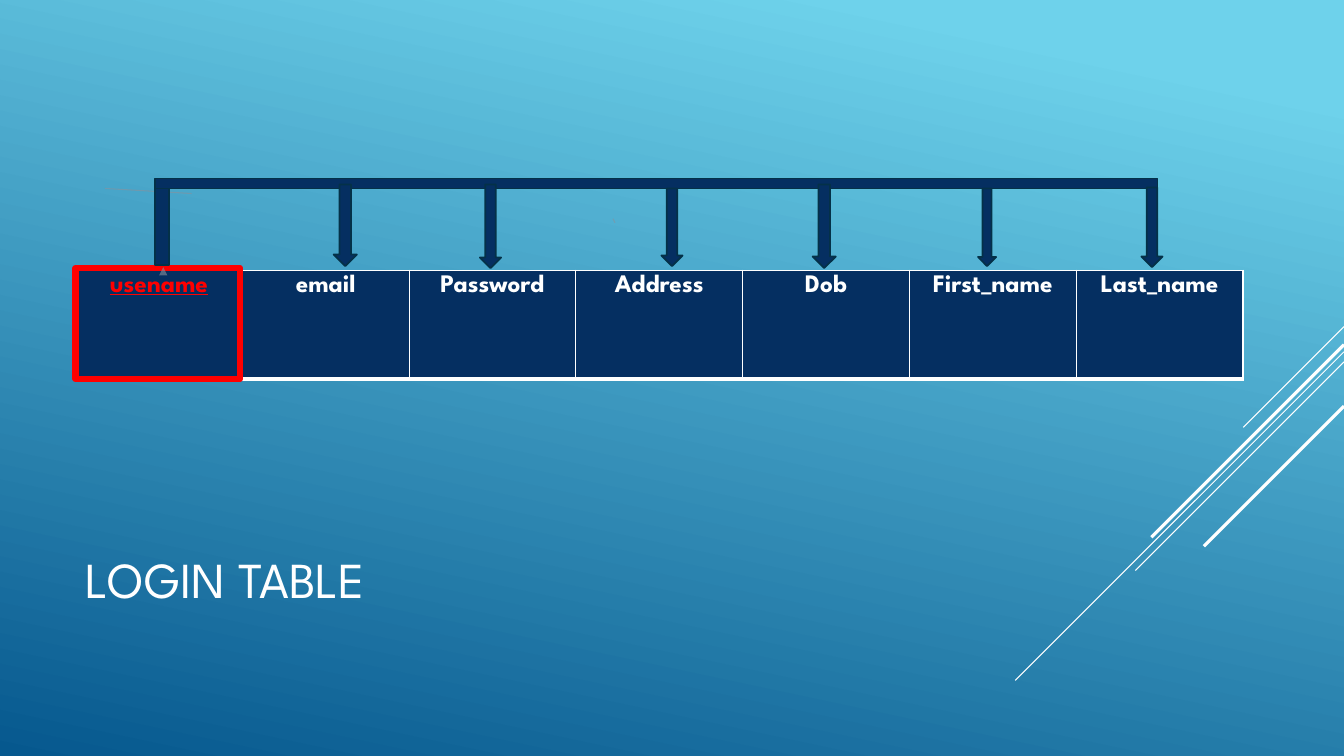
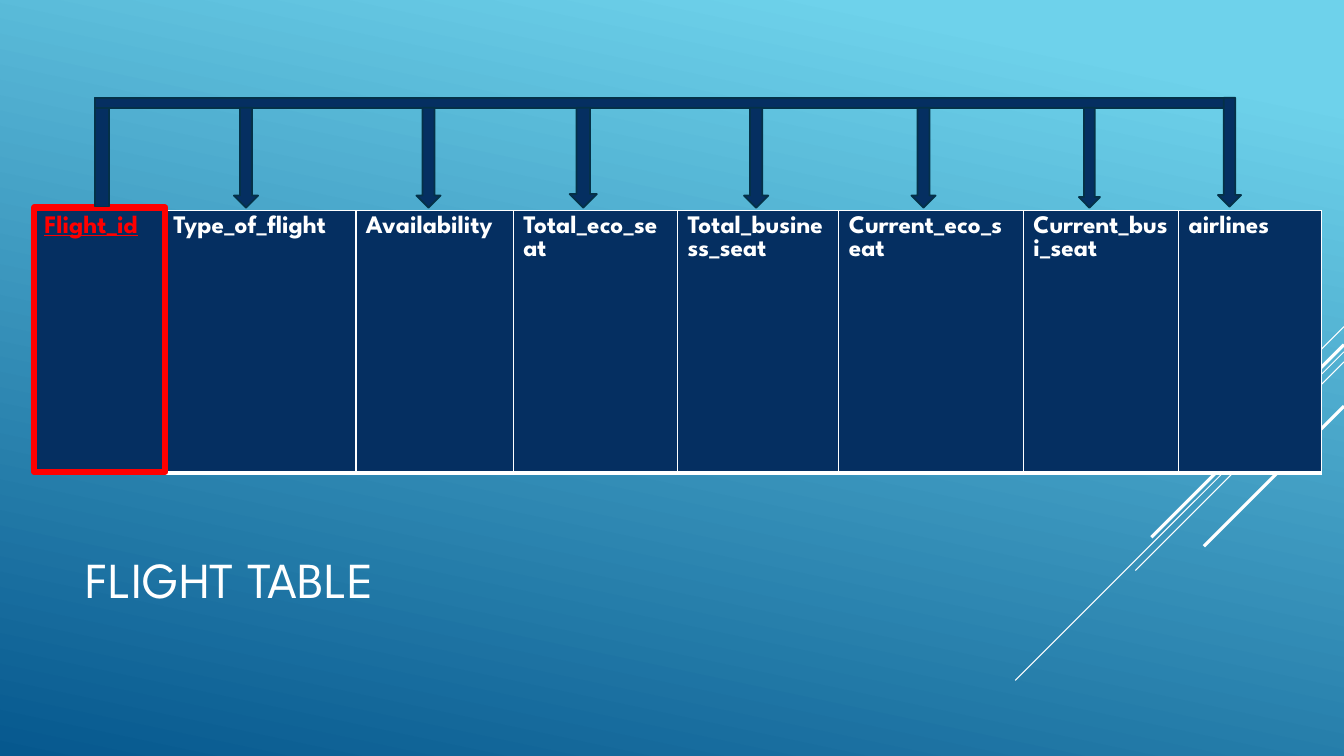
import pptx
import pptx.util
import pptx.dml.color
import pptx.enum.shapes
import pptx.enum.text
import pptx.oxml.ns
from lxml import etree

Inches, Pt = pptx.util.Inches, pptx.util.Pt
SHAPE = pptx.enum.shapes.MSO_SHAPE
ALIGN = pptx.enum.text.PP_ALIGN

COLORS = {
    "sky": "6ED2EB", "deep": "06588E", "navy": "052F61", "edge": "043148",
    "key": "FF0000", "white": "FFFFFF", "stroke": "89919C",
}
FONT = "League Spartan"
SLIDE_W, SLIDE_H = 13.33, 7.5
BAR_H = STEM_W = 0.14
BAR_H = 0.1

# Diagonals: start height on the right edge, horizontal run, line width
DIAGONALS = [(3.24, 1, 0.75), (3.49, 3.26, 0.75), (3.59, 2.07, 0.75),
             (3.42, 1.91, 2.25), (4.03, 1.39, 2.25)]

# Arrows are (left, top, width, height) measured from the bar's corner
LOGIN = {
    "title": "LOGIN TABLE",
    "fields": ["usename", "email", "Password", "Address", "Dob",
               "First_name", "Last_name"],
    "align": ALIGN.CENTER,
    "table": (0.75, 2.68, 1.08),
    "columns": [11.58 / 7] * 7,
    "key": (0.75, 2.66, 1.63, 1.1),
    "bar": (1.54, 1.77, 9.94),
    "stem": (0.09, 0.77),
    "arrows": [(1.77, 0.06, 0.23, 0.81), (3.22, 0.06, 0.21, 0.83),
               (5.02, 0.1, 0.21, 0.77), (6.52, 0.06, 0.23, 0.83),
               (8.16, 0.1, 0.18, 0.77), (9.78, 0.09, 0.21, 0.79)],
}
FLIGHT = {
    "title": "FLIGHT TABLE",
    "fields": ["Flight_id", "Type_of_flight", "Availability", "Total_eco_seat",
               "Total_business_seat", "Current_eco_seat", "Current_busi_seat",
               "airlines"],
    "align": ALIGN.LEFT,
    "table": (0.34, 2.09, 2.6),
    "columns": [1.28, 1.91, 1.56, 1.63, 1.6, 1.83, 1.54, 1.42],
    "key": (0.34, 2.06, 1.3, 2.62),
    "bar": (0.94, 0.97, 11.24),
    "stem": (0, 1.08),
    "arrows": [(left, 0.1, width, 0.99) for left, width in
               [(1.38, 0.24), (3.19, 0.24), (4.71, 0.27), (6.44, 0.24),
                (8.1, 0.24), (9.76, 0.21)]] + [(11.14, 0, 0.23, 1.08)],
}


def rgb(name):
    return pptx.dml.color.RGBColor.from_string(COLORS[name])


def add_child(parent, tag, **attributes):
    return etree.SubElement(parent, pptx.oxml.ns.qn(tag), **attributes)


def style_text(paragraph, size, color, align=ALIGN.LEFT, bold=False, underline=False):
    paragraph.alignment = align
    font = paragraph.font
    font.name, font.size = FONT, Pt(size)
    font.bold, font.underline = bold, underline
    font.color.rgb = rgb(color)


def add_stroke(slide, start, end, color, width, opacity=None, arrow=False):
    stroke = slide.shapes.add_connector(
        pptx.enum.shapes.MSO_CONNECTOR.STRAIGHT,
        *(Inches(value) for value in (*start, *end)))
    stroke.line.color.rgb = rgb(color)
    stroke.line.width = Pt(width)
    properties = stroke.element.spPr
    if opacity:
        tint = properties.find(".//" + pptx.oxml.ns.qn("a:srgbClr"))
        add_child(tint, "a:alpha", val=str(opacity * 1000))
    if arrow:
        add_child(properties.find(pptx.oxml.ns.qn("a:ln")), "a:tailEnd", type="triangle")
    add_child(properties, "a:effectLst")
    return stroke


def add_block(slide, kind, box, fill="navy", line="edge", width=1.25):
    block = slide.shapes.add_shape(kind, *(Inches(value) for value in box))
    block.shadow.inherit = False
    if fill:
        block.fill.solid()
        block.fill.fore_color.rgb = rgb(fill)
    else:
        block.fill.background()
    block.line.color.rgb = rgb(line)
    block.line.width = Pt(width)


# Shared look: gradient and title position
def style_layout(prs, layout):
    fill = prs.slide_master.background.fill
    fill.gradient()
    fill.gradient_angle = 360 - 102
    for stop, position, color in zip(fill.gradient_stops, (0.1, 1), ("sky", "deep")):
        stop.position = position
        stop.color.rgb = rgb(color)
    title = layout.placeholders[0]
    title.left, title.top = Inches(0.75), Inches(4.91)
    title.width, title.height = Inches(9.33), Inches(1.65)


def add_diagonals(slide):
    for top, run, width in DIAGONALS:
        add_stroke(slide, (SLIDE_W, top), (SLIDE_W - run, top + run), "white", width)


def add_title(slide, text):
    frame = slide.shapes.title.text_frame
    frame.text = text
    frame.vertical_anchor = pptx.enum.text.MSO_ANCHOR.MIDDLE
    style_text(frame.paragraphs[0], 36, "white")


# Row of fields, the first one being the key
def add_borders(cell):
    properties = cell._tc.get_or_add_tcPr()
    for index, (side, width) in enumerate([("L", 1), ("R", 1), ("T", 1), ("B", 3)]):
        border = add_child(properties, "a:ln" + side, w=str(Pt(width)))
        add_child(add_child(border, "a:solidFill"), "a:srgbClr", val=COLORS["white"])
        properties.insert(index, border)


def add_fields(slide, left, top, height, columns, fields, align):
    table = slide.shapes.add_table(
        1, len(fields), Inches(left), Inches(top),
        Inches(sum(columns)), Inches(height)).table
    table.first_row = table.horz_banding = False
    for index, (field, width) in enumerate(zip(fields, columns)):
        table.columns[index].width = Inches(width)
        cell = table.cell(0, index)
        cell.text = field
        cell.fill.solid()
        cell.fill.fore_color.rgb = rgb("navy")
        add_borders(cell)
        is_key = index == 0
        style_text(cell.text_frame.paragraphs[0], 18, "key" if is_key else "white",
                   align, bold=True, underline=is_key)


# Bar, stem from the key, and an arrow to every other field
def add_dependency(slide, left, top, width, stem, arrows):
    stem_top, stem_height = stem
    add_block(slide, SHAPE.RECTANGLE, (left, top + stem_top, STEM_W, stem_height))
    add_block(slide, SHAPE.RECTANGLE, (left, top, width, BAR_H))
    for dx, dy, arrow_width, arrow_height in arrows:
        add_block(slide, SHAPE.DOWN_ARROW, (left + dx, top + dy, arrow_width, arrow_height))


def add_pen_marks(slide):
    add_stroke(slide, (1.62, 2.66), (1.62, 2.65), "stroke", 0.75, 60, arrow=True)
    add_stroke(slide, (1.04, 1.87), (1.9, 1.92), "stroke", 0.75, 60)
    add_stroke(slide, (6.08, 2.17), (6.1, 2.21), "stroke", 0.75, 60)


def add_schema_slide(prs, layout, schema, pen_marks=False):
    slide = prs.slides.add_slide(layout)
    add_diagonals(slide)
    add_title(slide, schema["title"])
    add_fields(slide, *schema["table"], schema["columns"], schema["fields"], schema["align"])
    add_block(slide, SHAPE.RECTANGLE, schema["key"], fill=None, line="key", width=4.5)
    if pen_marks:
        add_pen_marks(slide)
    add_dependency(slide, *schema["bar"], schema["stem"], schema["arrows"])


def main():
    prs = pptx.Presentation()
    prs.slide_width, prs.slide_height = Inches(SLIDE_W), Inches(SLIDE_H)
    layout = prs.slide_layouts[5]
    style_layout(prs, layout)
    add_schema_slide(prs, layout, LOGIN, pen_marks=True)
    add_schema_slide(prs, layout, FLIGHT)
    prs.save("out.pptx")


if __name__ == "__main__":
    main()
